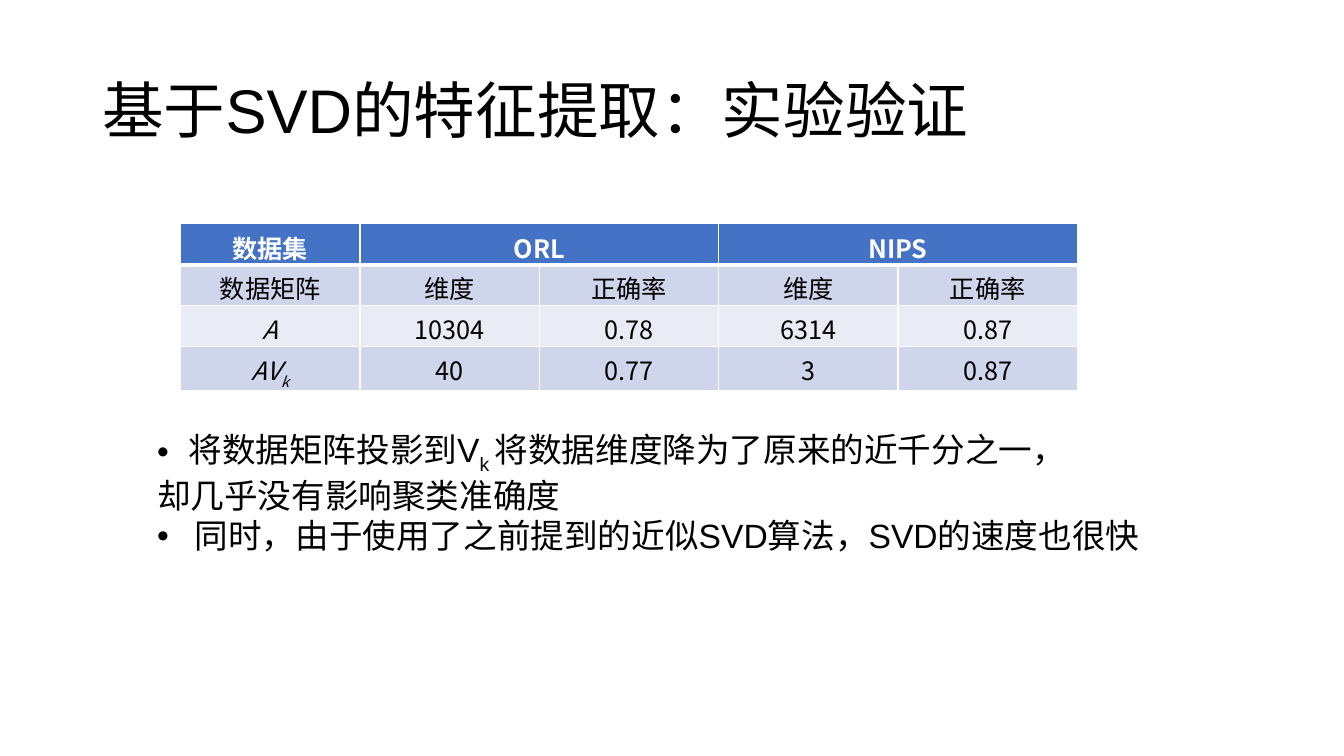
from lxml import etree
from pptx import Presentation, util as u
from pptx.dml.color import RGBColor
from pptx.enum import text
from pptx.oxml.ns import qn

BLACK = RGBColor(0, 0, 0)
WHITE = RGBColor(255, 255, 255)
BLUE = RGBColor(0x44, 0x72, 0xC4)
DARK = RGBColor(0xCF, 0xD5, 0xEA)
PALE = RGBColor(0xE9, 0xEB, 0xF5)
CJK = "Noto Sans CJK SC"


def fill_par(par, parts, size, face, color=BLACK):
    """Write parts split by '_': every second one is a subscript."""
    for i, part in enumerate(parts.split("_")):
        run = par.add_run()
        run.text = part
        run.font.size = u.Pt(size)
        run.font.name = face
        run.font.color.rgb = color
        props = run._r.get_or_add_rPr()
        etree.SubElement(props, qn("a:ea")).set("typeface", CJK)
        if i % 2:
            props.set("baseline", "-25000")


def add_box(left, top, width, height):
    frame = slide.shapes.add_textbox(*map(u.Cm, (left, top, width, height))).text_frame
    frame.word_wrap = True
    return frame


deck = Presentation()
deck.slide_width, deck.slide_height = u.Cm(33.87), u.Cm(19.05)
slide = deck.slides.add_slide(deck.slide_layouts[6])

# Title
title = add_box(2.33, 1.01, 29.21, 3.68)
title.vertical_anchor = text.MSO_ANCHOR.MIDDLE
title.paragraphs[0].line_spacing = 0.9
fill_par(title.paragraphs[0], "基于SVD的特征提取：实验验证", 44, "Arial")

# Results table
rows = [
    ["数据集", "ORL", "", "NIPS", ""],
    ["数据矩阵", "维度", "正确率", "维度", "正确率"],
    ["A", "10304", "0.78", "6314", "0.87"],
    ["AV_k", "40", "0.77", "3", "0.87"],
]
table = slide.shapes.add_table(4, 5, u.Cm(4.55), u.Cm(5.64), u.Cm(22.6), u.Cm(4.12)).table
for col in (1, 3):
    table.cell(0, col).merge(table.cell(0, col + 1))
for r, row in enumerate(rows):
    table.rows[r].height = u.Cm(1.03)
    for c, words in enumerate(row):
        cell = table.cell(r, c)
        # Borders: a thick line under the header
        for side in "LRTB":
            thick = (r, side) in ((0, "B"), (1, "T"))
            line = etree.SubElement(cell._tc.get_or_add_tcPr(), qn("a:ln" + side))
            line.set("w", str(u.Pt(3 if thick else 1)))
            paint = etree.SubElement(line, qn("a:solidFill"))
            etree.SubElement(paint, qn("a:srgbClr")).set("val", str(WHITE))
        cell.fill.solid()
        cell.fill.fore_color.rgb = (BLUE, DARK, PALE, DARK)[r]
        par = cell.text_frame.paragraphs[0]
        par.alignment = text.PP_ALIGN.CENTER
        if words:
            fill_par(par, words, 18, CJK, BLACK if r else WHITE)
        for run in par.runs:
            run.font.bold = r == 0
            run.font.italic = r > 1 and c == 0

# Conclusions: words and bullet indent in cm
notes = [
    ("将数据矩阵投影到V_k _将数据维度降为了原来的近千分之一，", 0.79),
    ("却几乎没有影响聚类准确度", 0),
    ("同时，由于使用了之前提到的近似SVD算法，SVD的速度也很快", 0.95),
]
body = add_box(3.71, 10.69, 25.68, 4.37)
for i, (words, indent) in enumerate(notes):
    par = body.add_paragraph() if i else body.paragraphs[0]
    fill_par(par, words, 24, "Arial")
    if indent:
        props = par._p.get_or_add_pPr()
        props.set("marL", str(u.Cm(indent)))
        props.set("indent", str(-u.Cm(indent)))
        etree.SubElement(props, qn("a:buFont")).set("typeface", "Arial")
        etree.SubElement(props, qn("a:buChar")).set("char", "•")

deck.save("out.pptx")
